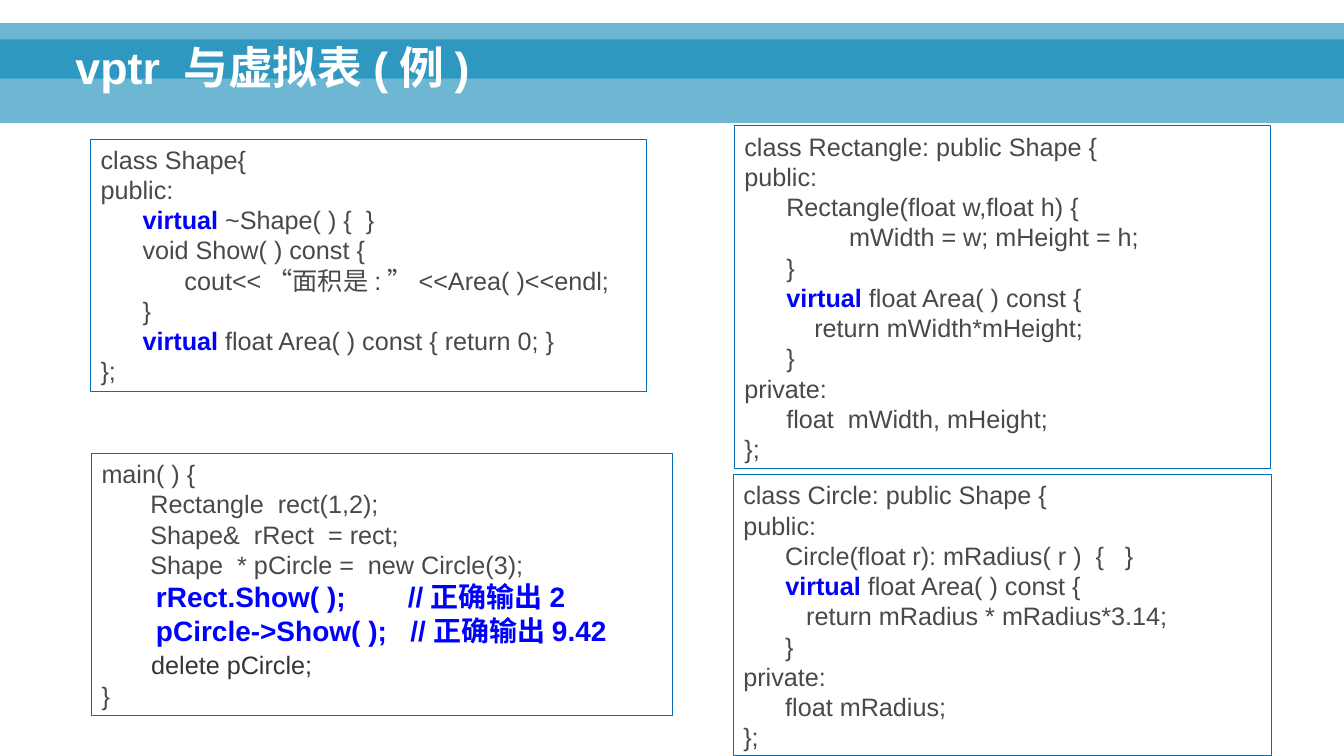
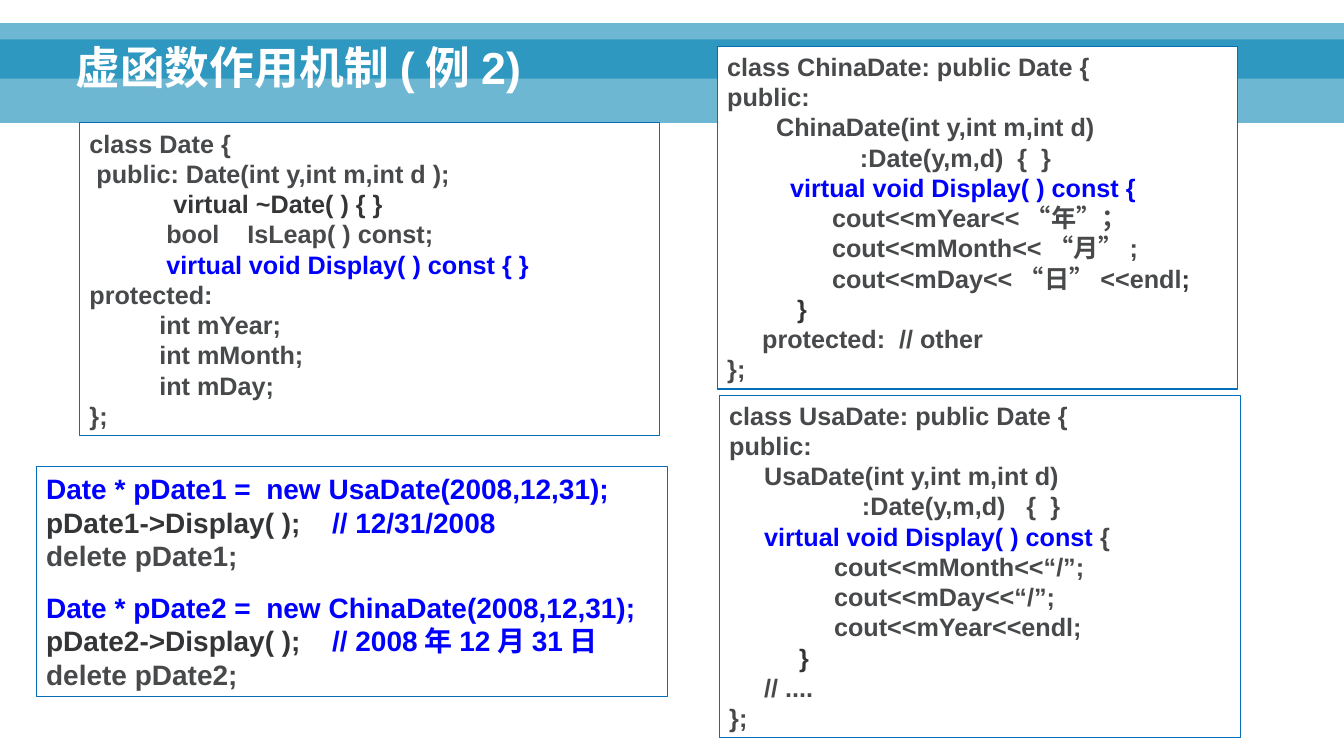
from collections import namedtuple

from lxml.etree import SubElement
from pptx import Presentation
from pptx.dml.color import RGBColor
from pptx.enum.shapes import MSO_SHAPE as Preset
from pptx.enum.text import MSO_ANCHOR as Anchor, PP_ALIGN as Align
from pptx.oxml.ns import qn
from pptx.util import Inches, Pt

Style = namedtuple("Style", "size color bold")

FONT = "Arial"
WIDTH, HEIGHT = 13.34, 7.5
BAND, BORDER, WHITE = "0082B3", "046FB6", "FFFFFF"
GREY, DARK, BLUE = "47494B", "343537", "0000FF"

TITLE = Style(32, WHITE, True)
PLAIN = Style(18, GREY, False)
PLAIN_DARK = Style(18, DARK, False)
STRONG = Style(18, GREY, True)
STRONG_DARK = Style(18, DARK, True)
KEYWORD = Style(18, BLUE, True)
CALL = Style(20, BLUE, True)
USAGE = Style(20, GREY, True)
USAGE_DARK = Style(20, DARK, True)

VIRTUAL = ("virtual ", KEYWORD)

SHAPE_CLASS = [
    "class Shape{",
    "public:",
    ["      ", VIRTUAL, "~Shape( ) {  }"],
    "      void Show( ) const {",
    "            cout<<“面积是:”<<Area( )<<endl;",
    "      }",
    ["      ", VIRTUAL, "float Area( ) const { return 0; }"],
    "};",
]
RECTANGLE_CLASS = [
    "class Rectangle: public Shape {",
    "public:",
    "      Rectangle(float w,float h) {",
    "               mWidth = w; mHeight = h;",
    "      }",
    ["      ", VIRTUAL, "float Area( ) const {"],
    "          return mWidth*mHeight;",
    "      }",
    "private:",
    "      float  mWidth, mHeight;",
    "};",
]
CIRCLE_CLASS = [
    "class Circle: public Shape {",
    "public:",
    "      Circle(float r): mRadius( r )  {   }",
    ["      ", VIRTUAL, "float Area( ) const {"],
    "         return mRadius * mRadius*3.14;",
    "      }",
    "private:",
    "      float mRadius;",
    "};",
]
SHAPE_MAIN = [
    "main( ) {",
    "       Rectangle  rect(1,2);",
    "       Shape&  rRect  = rect;",
    "       Shape  * pCircle =  new Circle(3);",
    [("       rRect.Show( );        //正确输出2", CALL)],
    [("       pCircle->Show( );   //正确输出9.42", CALL)],
    [(" ", CALL), ("      delete pCircle;", PLAIN_DARK)],
    "}",
]
DATE_CLASS = [
    "class Date {",
    " public: Date(int y,int m,int d );",
    ["            ", ("virtual ~Date( ) { }", STRONG_DARK)],
    "           bool    IsLeap( ) const;",
    ["           ", ("virtual void Display( ) const { }", KEYWORD)],
    "protected:",
    "          int mYear;",
    "          int mMonth;",
    "          int mDay;",
    "};",
]
CHINA_DATE_CLASS = [
    "class ChinaDate: public Date {",
    "public:",
    "       ChinaDate(int y,int m,int d)",
    "                   :Date(y,m,d)  {  }",
    ["         ", ("virtual void Display( ) const {", KEYWORD)],
    "               cout<<mYear<<“年”；",
    "               cout<<mMonth<<“月”;",
    ["               cout<<mDay<<“日”<<endl", (";", STRONG_DARK)],
    [("          }", STRONG_DARK)],
    "     protected:  // other",
    "};",
]
USA_DATE_CLASS = [
    "class UsaDate: public Date {",
    "public:",
    "     UsaDate(int y,int m,int d)",
    "                   :Date(y,m,d)   {  }",
    ["     ", ("virtual void Display( ) const", KEYWORD), " {"],
    "               cout<<mMonth<<“/”;",
    "               cout<<mDay<<“/”;",
    "               cout<<mYear<<endl;",
    [("          }", STRONG_DARK)],
    "     // ....",
    "};",
]
USA_USAGE = [
    [("Date * pDate1 =  new UsaDate(2008,12,31);", CALL)],
    [("pDate1->Display( );   ", USAGE_DARK), (" // 12/31/2008", CALL)],
    "delete pDate1;",
]
CHINA_USAGE = [
    [("Date * pDate2 =  new ChinaDate(2008,12,31);", CALL)],
    [("pDate2->Display( );    ", USAGE_DARK), ("// 2008年12月31日", CALL)],
    "delete pDate2;",
]


def rgb(color):
    """Turn a hex string into a colour."""
    return RGBColor.from_string(color)


def add_run(paragraph, text, style):
    """Add one styled run to a paragraph."""
    run = paragraph.add_run()
    run.text = text
    run.font.name = FONT
    run.font.size = Pt(style.size)
    run.font.bold = style.bold
    run.font.color.rgb = rgb(style.color)


def add_panel(slide, box, color):
    """Add a filled rectangle without outline or shadow."""
    panel = slide.shapes.add_shape(Preset.RECTANGLE, *map(Inches, box))
    panel.shadow.inherit = False
    panel.fill.solid()
    panel.fill.fore_color.rgb = rgb(color)
    panel.line.fill.background()
    return panel


def add_header(slide, title):
    """Add the two overlapping translucent bands and the title."""
    for top, height in ((0.39, 0.83), (0.23, 0.55)):
        band = add_panel(slide, (0, top, WIDTH, height), BAND)
        fill = band.fill._xPr.find(qn("a:solidFill"))
        SubElement(fill[0], qn("a:alpha"), val="57000")
    heading = slide.shapes.add_textbox(*map(Inches, (0.65, 0.11, 11.98, 0.87)))
    frame = heading.text_frame
    frame.word_wrap = True
    frame.vertical_anchor = Anchor.BOTTOM
    paragraph = frame.paragraphs[0]
    paragraph.line_spacing = 0.9
    add_run(paragraph, title, TITLE)


def add_code(slide, box, base, *blocks):
    """Add a bordered listing, with a gap between its blocks of lines."""
    listing = add_panel(slide, box, WHITE)
    listing.line.color.rgb = rgb(BORDER)
    listing.line.width = Pt(0.75)
    frame = listing.text_frame
    frame.word_wrap = True
    frame.vertical_anchor = Anchor.TOP
    paragraph = None
    for block in blocks:
        for number, line in enumerate(block):
            first = paragraph is None
            paragraph = frame.paragraphs[0] if first else frame.add_paragraph()
            paragraph.alignment = Align.LEFT
            if number == 0 and not first:
                paragraph.space_before = Pt(12.5)
            for part in [line] if isinstance(line, str) else line:
                text, style = (part, base) if isinstance(part, str) else part
                add_run(paragraph, text, style)


def add_slide(deck, title, listings):
    """Add a slide with its header and code listings."""
    slide = deck.slides.add_slide(deck.slide_layouts[6])
    add_header(slide, title)
    for box, base, *blocks in listings:
        add_code(slide, box, base, *blocks)


def main():
    """Build and save the deck."""
    deck = Presentation()
    deck.slide_width, deck.slide_height = Inches(WIDTH), Inches(HEIGHT)
    add_slide(deck, "vptr 与虚拟表(例)", [
        ((0.9, 1.38, 5.52, 2.5), PLAIN, SHAPE_CLASS),
        ((7.28, 4.71, 5.34, 2.79), PLAIN, CIRCLE_CLASS),
        ((0.91, 4.5, 5.77, 2.6), PLAIN, SHAPE_MAIN),
        ((7.29, 1.25, 5.32, 3.4), PLAIN, RECTANGLE_CLASS),
    ])
    add_slide(deck, "虚函数作用机制(例2)", [
        ((0.79, 1.22, 5.76, 3.1), STRONG, DATE_CLASS),
        ((7.12, 0.46, 5.16, 3.4), STRONG, CHINA_DATE_CLASS),
        ((7.14, 3.92, 5.17, 3.4), STRONG, USA_DATE_CLASS),
        ((0.36, 4.63, 6.27, 2.28), USAGE, USA_USAGE, CHINA_USAGE),
    ])
    deck.save("out.pptx")


if __name__ == "__main__":
    main()
